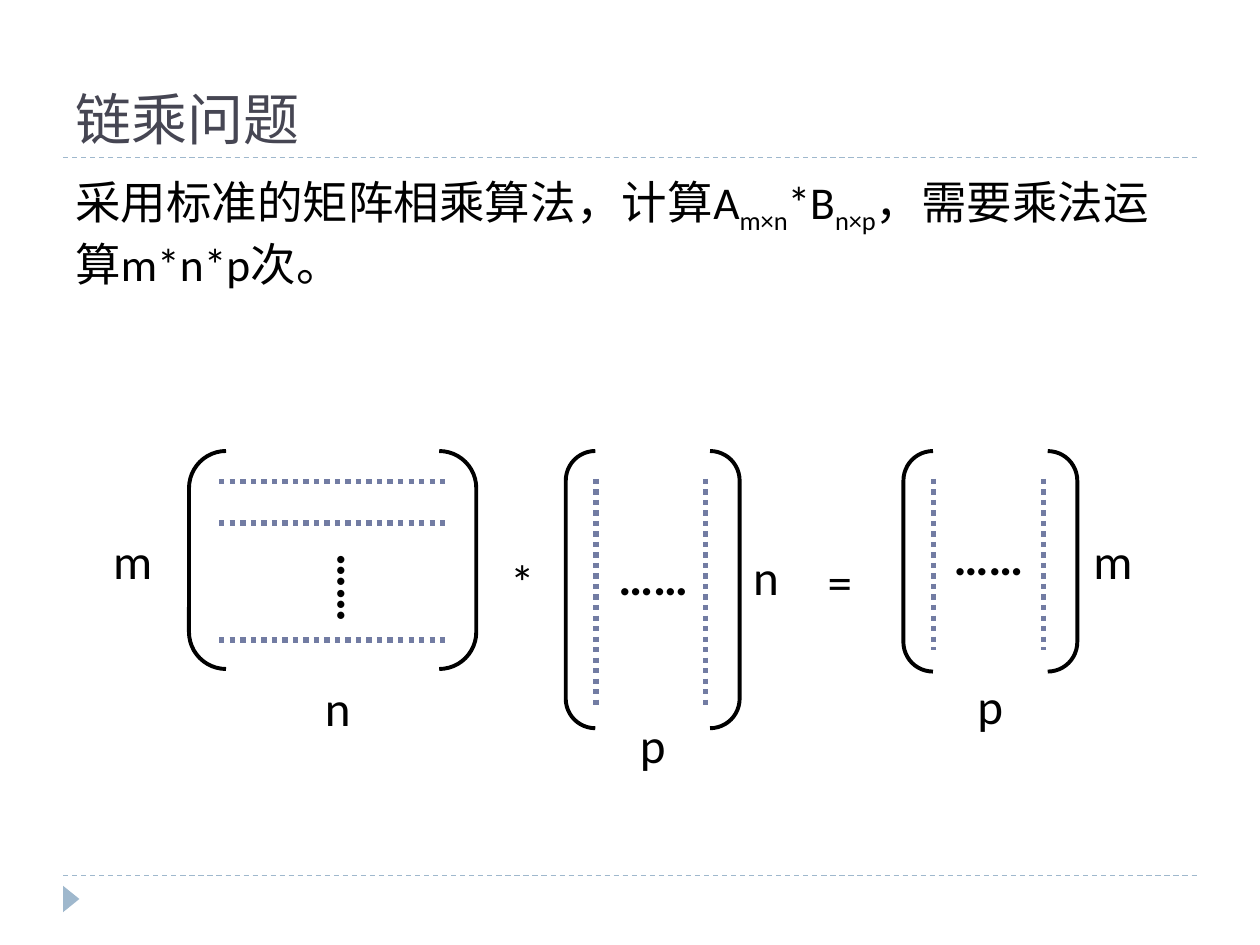
import pptx
import pptx.util
import pptx.dml.color
import pptx.enum.dml
import pptx.enum.shapes
import pptx.enum.text
import pptx.oxml.ns
import lxml.etree

PX = 9144  # 100 px to the inch
INK = {"title": "464653", "text": "000000", "rule": "9FB8CD", "dots": "727CA3"}
DASH = pptx.enum.dml.MSO_LINE
KIND = pptx.enum.shapes.MSO_SHAPE
ANCHOR = pptx.enum.text.MSO_ANCHOR
FIT = pptx.enum.text.MSO_AUTO_SIZE

# Content: (text, baseline shift in %)
TITLE = [("链乘问题", 0)]
BODY = [
    ("采用标准的矩阵相乘算法，计算A", 0), ("m×n", -25), ("*B", 0),
    ("n×p", -25), ("，需要乘法运算m*n*p次。", 0),
]
RULES = [125, 695]

# Matrices: bracket box, then the dotted rows (y) or columns (x)
MATS = [
    {"box": (150, 358, 228, 173), "rows": [382, 415, 508], "span": (174, 355)},
    {"box": (449, 358, 138, 220), "cols": [473, 560], "span": (380, 561)},
    {"box": (717, 358, 138, 175), "cols": [741, 828], "span": (380, 516)},
]

# Labels: text, left, top, width
LABELS = [
    ("n", 248, 533, 40), ("m", 80, 416, 51), ("*", 395, 433, 39),
    ("n", 588, 429, 40), ("p", 498, 562, 40), ("=", 647, 433, 39),
    ("m", 858, 416, 51), ("p", 766, 531, 40),
]
GAPS = [(481, 429), (747, 413)]

deck = pptx.Presentation()
deck.slide_width, deck.slide_height = 1000 * PX, 750 * PX
slide = deck.slides.add_slide(deck.slide_layouts[6])


def tint(name):
    return pptx.dml.color.RGBColor.from_string(INK[name])


def write(runs, box, size=28, font="Calibri", ink="text", bold=False,
          anchor=ANCHOR.TOP, wrap=False, down=False):
    frame = slide.shapes.add_textbox(*(n * PX for n in box)).text_frame
    frame.word_wrap = wrap
    frame.auto_size = FIT.NONE if wrap else FIT.SHAPE_TO_FIT_TEXT
    frame.vertical_anchor = anchor
    if down:
        frame._txBody.bodyPr.set("vert", "eaVert")
        frame.margin_left = frame.margin_right = 5 * PX
        frame.margin_top = frame.margin_bottom = 10 * PX
    for text, shift in runs:
        run = frame.paragraphs[0].add_run()
        run.text = text
        run.font.size = pptx.util.Pt(size)
        run.font.name = font
        run.font.bold = bold
        run.font.color.rgb = tint(ink)
        if shift:
            run.font._element.set("baseline", str(shift * 1000))


def rule(x1, y1, x2, y2, ink, width, dash):
    line = slide.shapes.add_connector(
        pptx.enum.shapes.MSO_CONNECTOR.STRAIGHT,
        *(n * PX for n in (x1, y1, x2, y2)))
    line.line.color.rgb = tint(ink)
    line.line.width = pptx.util.Pt(width)
    line.line.dash_style = dash
    lxml.etree.SubElement(line._element.spPr,
                          pptx.oxml.ns.qn("a:effectLst"))


def shape(kind, box):
    item = slide.shapes.add_shape(kind, *(n * PX for n in box))
    item.shadow.inherit = False
    return item


# Frame of the page
for y in RULES:
    rule(50, y, 950, y, "rule", 0.75, DASH.DASH)
mark = shape(KIND.ISOSCELES_TRIANGLE, (46, 707, 21, 13))
mark.rotation = 90
mark.fill.solid()
mark.fill.fore_color.rgb = tint("rule")
mark.line.fill.background()

# Title and statement
write(TITLE, (50, 17, 900, 108), size=32, font="Roboto Slab", ink="title",
      anchor=ANCHOR.BOTTOM, wrap=True)
write(BODY, (50, 133, 900, 540), size=26, wrap=True)

# Matrices
for mat in MATS:
    pair = shape(KIND.DOUBLE_BRACKET, mat["box"])
    pair.adjustments[0] = 0.17
    pair.fill.background()
    pair.line.color.rgb = tint("text")
    pair.line.width = pptx.util.Pt(2.25)
    a, b = mat["span"]
    for y in mat.get("rows", []):
        rule(a, y, b, y, "dots", 3, DASH.ROUND_DOT)
    for x in mat.get("cols", []):
        rule(x, a, x, b, "dots", 3, DASH.ROUND_DOT)

# Labels and ellipses
for text, x, y, w in LABELS:
    write([(text, 0)], (x, y, w, 57))
for x, y in GAPS:
    write([("……", 0)], (x, y, 75, 57), bold=True)
write([("……", 0)], (246, 429, 66, 66), bold=True, down=True)

deck.save("out.pptx")
